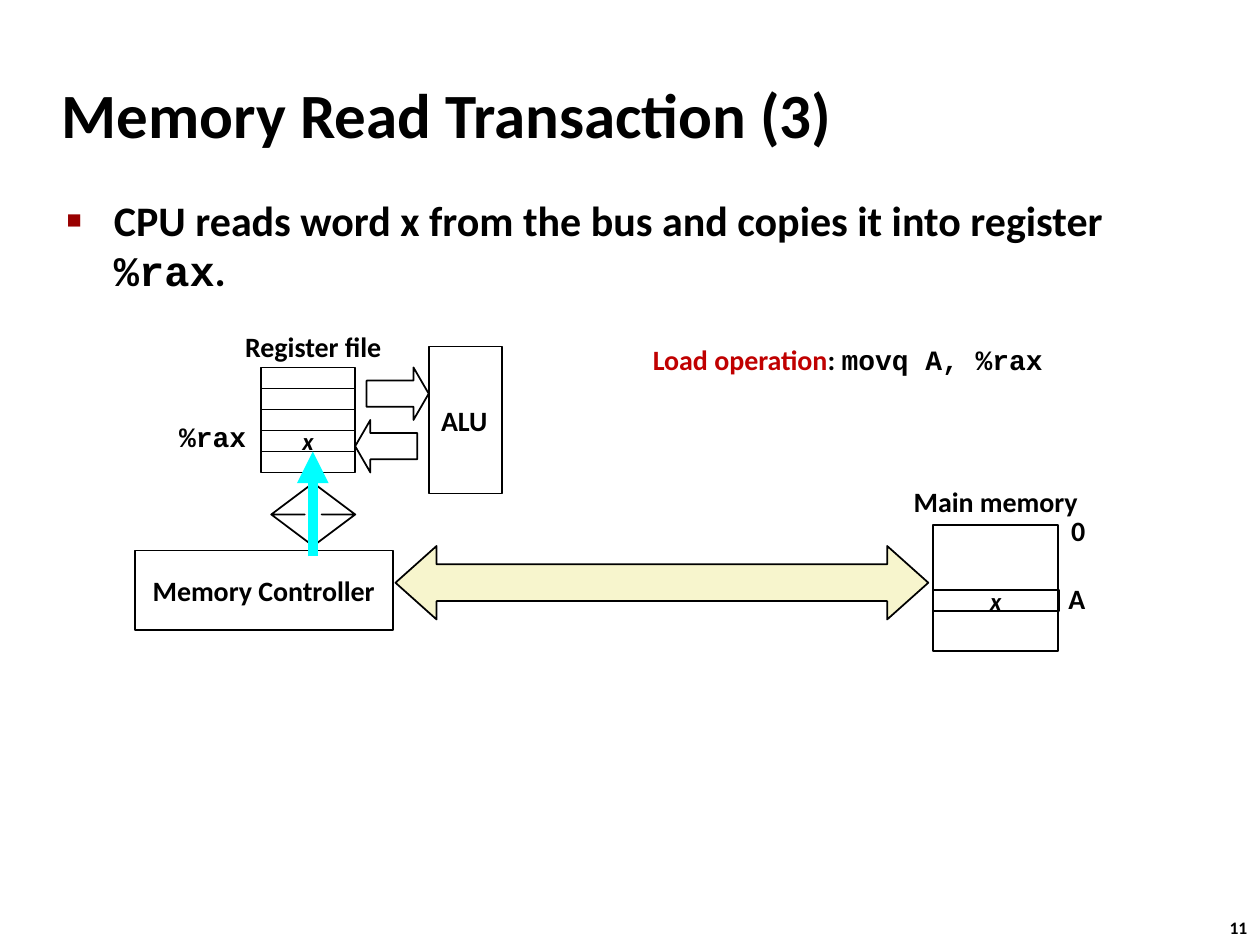
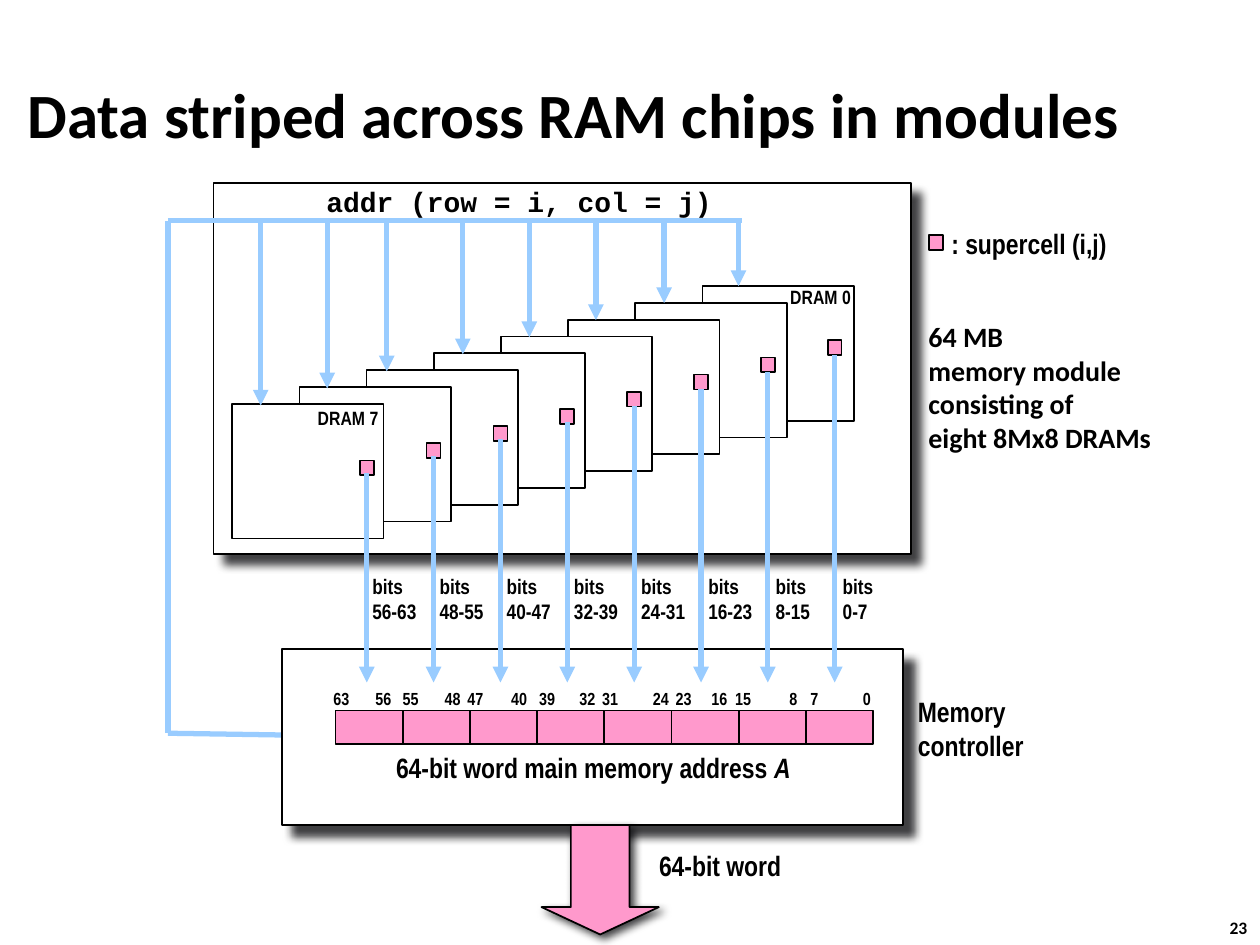
from dataclasses import dataclass

from lxml import etree
from pptx import Presentation
from pptx.dml.color import RGBColor
from pptx.enum.shapes import MSO_CONNECTOR, MSO_SHAPE as Preset
from pptx.enum.text import MSO_ANCHOR as Anchor, MSO_AUTO_SIZE as AutoSize, PP_ALIGN as Align
from pptx.oxml.ns import qn
from pptx.util import Pt


@dataclass(frozen=True)
class Theme:
    ink: str = "000000"
    paper: str = "FFFFFF"
    bullet: str = "990000"
    accent: str = "C00000"
    system_bus: str = "F7F5CD"
    transfer: str = "00FFFF"
    wire: str = "99CCFF"
    supercell: str = "FF99CC"
    shadow: str = "000004"
    sans: str = "Calibri"
    narrow: str = "Arial Narrow"
    mono: str = "Courier New"
    title: int = 36
    body: int = 24
    label: int = 16
    word: int = 14
    bits: int = 12
    chip: int = 11
    small: int = 10


T = Theme()

# Content: a run is (text, changes to the label's style); boxes are left, top, width, height
READ_TITLE = "Memory Read Transaction (3)"
READ_BULLET = [("CPU reads word x from the bus and copies it into register ", {}),
               ("%rax", {"font": T.mono}), (".", {})]
LOAD_OPERATION = [("Load operation", {"color": T.accent}), (": ", {}),
                  ("movq A, %rax", {"font": T.mono})]
REGISTERS = ["", "", "", "x", ""]
READ_LABELS = [
    ("Register file", (133, 184.5, 94, 26.5), {}),
    ("Main memory", (510, 273.5, 118, 26.5), {"align": Align.CENTER}),
    ("0", (605, 289.5, 23, 26.5), {}),
    ("A", (603.5, 328.5, 24.5, 26.5), {}),
    ("%rax", (95, 236, 53, 26.5), {"font": T.mono, "align": Align.CENTER}),
    (LOAD_OPERATION, (366, 192, 240.5, 26.5), {"anchor": Anchor.TOP}),
]

STRIPE_TITLE = "Data striped across RAM chips in modules"
MODULE_NOTE = "64 MB\nmemory module\nconsisting of\neight 8Mx8 DRAMs"
WORD_CAPTION = [("64-bit word main memory address ", {}), ("A", {"italic": True})]
STRIPE_LABELS = [
    (": supercell (i,j)", (536.5, 126, 123, 26.5), {"font": T.narrow}),
    (MODULE_NOTE, (523.5, 178.5, 143.5, 85), {}),
    ("addr (row = i, col = j)", (179.5, 101.5, 236, 26.5), {"font": T.mono}),
    ("Memory\ncontroller", (517.5, 393, 88.5, 46), {"font": T.narrow}),
    ("DRAM 7", (174.5, 228, 49.5, 21), {"font": T.narrow, "size": T.chip}),
    ("DRAM 0", (444.5, 159, 49.5, 21), {"font": T.narrow, "size": T.chip}),
    (WORD_CAPTION, (216.5, 425, 245, 26.5), {"font": T.narrow, "align": Align.CENTER}),
    ("64-bit word", (369.5, 481, 85, 26.5), {"font": T.narrow}),
]
# Per byte, from DRAM 0 up: x of address wire, of high-bit number, of low-bit number
BYTES = [(422, 456, 486), (379.5, 413, 444), (340.5, 379, 399.5), (302.5, 337, 366),
         (264.5, 301, 324), (221, 260, 285), (187, 223, 247), (149, 183.5, 207.5)]


# Shared drawing helpers
def rgb(color):
    return RGBColor.from_string(color)


def points(values):
    return [Pt(value) for value in values]


def add_xml(parent, tag, **attributes):
    return etree.SubElement(parent, qn(tag), attributes)


def write(frame, text, font=T.sans, size=T.label, color=T.ink, italic=False,
          align=Align.LEFT, anchor=Anchor.MIDDLE, wrap=False):
    frame.word_wrap = wrap
    frame.vertical_anchor = anchor
    lines = [[(line, {})] for line in text.split("\n")] if isinstance(text, str) else [text]
    style = {"font": font, "size": size, "color": color, "italic": italic}
    for index, runs in enumerate(lines):
        paragraph = frame.add_paragraph() if index else frame.paragraphs[0]
        paragraph.alignment = align
        for words, changes in runs:
            look = {**style, **changes}
            run = paragraph.add_run()
            run.text = words
            run.font.name = look["font"]
            run.font.size = Pt(look["size"])
            run.font.bold = True
            run.font.italic = look["italic"]
            run.font.color.rgb = rgb(look["color"])


def add_label(slide, text, box, **style):
    frame = slide.shapes.add_textbox(*points(box)).text_frame
    frame.auto_size = AutoSize.SHAPE_TO_FIT_TEXT
    write(frame, text, **style)


def add_block(slide, box, fill=None, preset=Preset.RECTANGLE, adjust=(), text="", shadow=None, **style):
    block = slide.shapes.add_shape(preset, *points(box))
    for index, value in enumerate(adjust):
        block.adjustments[index] = value
    if fill:
        block.fill.solid()
        block.fill.fore_color.rgb = rgb(fill)
    else:
        block.fill.background()
    block.line.color.rgb = rgb(T.ink)
    block.line.width = Pt(1)
    block.shadow.inherit = False
    if shadow:
        effects = block.element.spPr.find(qn("a:effectLst"))
        outer = add_xml(effects, "a:outerShdw", blurRad=str(Pt(5)), dist=str(Pt(shadow)),
                        dir="2700000", algn="tl", rotWithShape="0")
        add_xml(add_xml(outer, "a:srgbClr", val=T.shadow), "a:alpha", val="75000")
    if text:
        write(block.text_frame, text, **style)


def add_wire(slide, start, end, color=T.wire, width=3, arrow=False):
    wire = slide.shapes.add_connector(MSO_CONNECTOR.STRAIGHT, *points(start + end))
    wire.line.color.rgb = rgb(color)
    wire.line.width = Pt(width)
    if arrow:
        add_xml(wire.line._get_or_add_ln(), "a:tailEnd", type="triangle")
    add_xml(wire._element.spPr, "a:effectLst")


def set_indent(paragraph, hanging):
    properties = paragraph._p.get_or_add_pPr()
    properties.set("marL", str(Pt(hanging)))
    properties.set("indent", str(-Pt(hanging)))
    return properties


def start_slide(deck, title, left, width, number):
    slide = deck.slides.add_slide(deck.slide_layouts[5])
    heading = slide.shapes.title
    heading.left, heading.top, heading.width, heading.height = points((left, 34.5, width, 60))
    heading.text_frame.auto_size = AutoSize.NONE
    set_indent(heading.text_frame.paragraphs[0], 9)
    write(heading.text_frame, title, size=T.title, wrap=True)
    add_label(slide, number, (695.5, 520.5, 26.5, 19.5), size=T.small, anchor=Anchor.TOP)
    return slide


def add_bullet(slide, runs, box):
    frame = slide.shapes.add_textbox(*points(box)).text_frame
    properties = set_indent(frame.paragraphs[0], 27)
    add_xml(add_xml(properties, "a:buClr"), "a:srgbClr", val=T.bullet)
    add_xml(properties, "a:buSzPct", val="60000")
    add_xml(properties, "a:buFont", typeface="Arial")
    add_xml(properties, "a:buChar", char="■")
    write(frame, runs, size=T.body, anchor=Anchor.TOP, wrap=True)


def build_read_slide(deck):
    slide = start_slide(deck, READ_TITLE, 28, 597.5, "11")
    add_bullet(slide, READ_BULLET, (31, 107.5, 622, 391.5))
    word = {"size": T.word, "italic": True, "align": Align.CENTER}

    # System bus and processor
    add_block(slide, (226, 312, 304.5, 42), T.system_bus, Preset.LEFT_RIGHT_ARROW, (0.5, 0.56))
    for row, value in enumerate(REGISTERS):
        add_block(slide, (149, 210 + 12 * row, 54, 12), text=value, **word)
    add_block(slide, (209.5, 210, 35.5, 30), preset=Preset.RIGHT_ARROW, adjust=(0.5, 0.29))
    add_block(slide, (203, 240, 35.5, 30), preset=Preset.LEFT_ARROW, adjust=(0.5, 0.29))
    add_block(slide, (245, 198, 42, 84), text="ALU")
    add_block(slide, (155, 276, 48, 36), preset=Preset.UP_DOWN_ARROW, adjust=(0.5, 0.2))
    add_block(slide, (77, 314.5, 147.5, 45.5), T.paper, text="Memory Controller", align=Align.CENTER)
    add_wire(slide, (178.75, 318), (178.75, 258), T.transfer, 6, arrow=True)

    # Main memory
    add_block(slide, (533.25, 300, 71.5, 72))
    add_block(slide, (533, 337, 72, 12), text="x", **word)
    for text, box, style in READ_LABELS:
        add_label(slide, text, box, **style)


def build_stripe_slide(deck):
    slide = start_slide(deck, STRIPE_TITLE, 8.5, 658, "23")

    # Module, controller and chips
    add_block(slide, (122, 104.5, 398.5, 212), T.paper, shadow=8.5)
    add_block(slide, (161, 371, 355, 100.5), T.paper, shadow=8.5)
    for chip in range(len(BYTES)):
        add_block(slide, (401.5 - 38.4 * chip, 163.5 + 9.6 * chip, 86.5, 77), T.paper)
    add_block(slide, (531, 134.5, 8, 8.5), T.supercell)

    # Address bus from the controller to every chip
    bus_y, bus_x, controller_y = 126, 96, 419
    add_wire(slide, (bus_x, bus_y), (424, bus_y))
    add_wire(slide, (160.5, 420), (bus_x, controller_y))
    add_wire(slide, (bus_x, controller_y), (bus_x, bus_y))
    for chip, (address_x, _, _) in enumerate(BYTES):
        add_wire(slide, (address_x, bus_y), (address_x, 163.5 + 9.75 * chip), arrow=True)

    # Supercells, their data wires and the word they fill
    add_block(slide, (309.5, 471.5, 67, 62.5), T.supercell, Preset.DOWN_ARROW, (0.5, 0.25), shadow=3)
    for chip, (_, high_x, low_x) in enumerate(BYTES):
        low, high = 8 * chip, 8 * chip + 7
        data_x = 477 - 38.2 * chip
        add_block(slide, (data_x - 4, 194.5 + 9.8 * chip, 8, 8.5), T.supercell)
        add_wire(slide, (data_x, 203 + 9.6 * chip), (data_x, 390), arrow=True)
        span = f"{low}-{high}"
        add_label(slide, f"bits\n{span}", (474.5 - 38.4 * chip, 324, 22 + 4.5 * len(span), 36),
                  font=T.narrow, size=T.bits)
        for bit, left in ((high, high_x), (low, low_x)):
            add_label(slide, str(bit), (left, 389.5, 15 + 5 * len(str(bit)), 19.5),
                      font=T.narrow, size=T.small)
        add_block(slide, (460.5 - 38.4 * chip, 406, 38.4, 19), T.supercell)
    for text, box, style in STRIPE_LABELS:
        add_label(slide, text, box, **style)


def main():
    deck = Presentation()
    deck.slide_width, deck.slide_height = Pt(720), Pt(540)
    build_read_slide(deck)
    build_stripe_slide(deck)
    deck.save("out.pptx")


if __name__ == "__main__":
    main()
